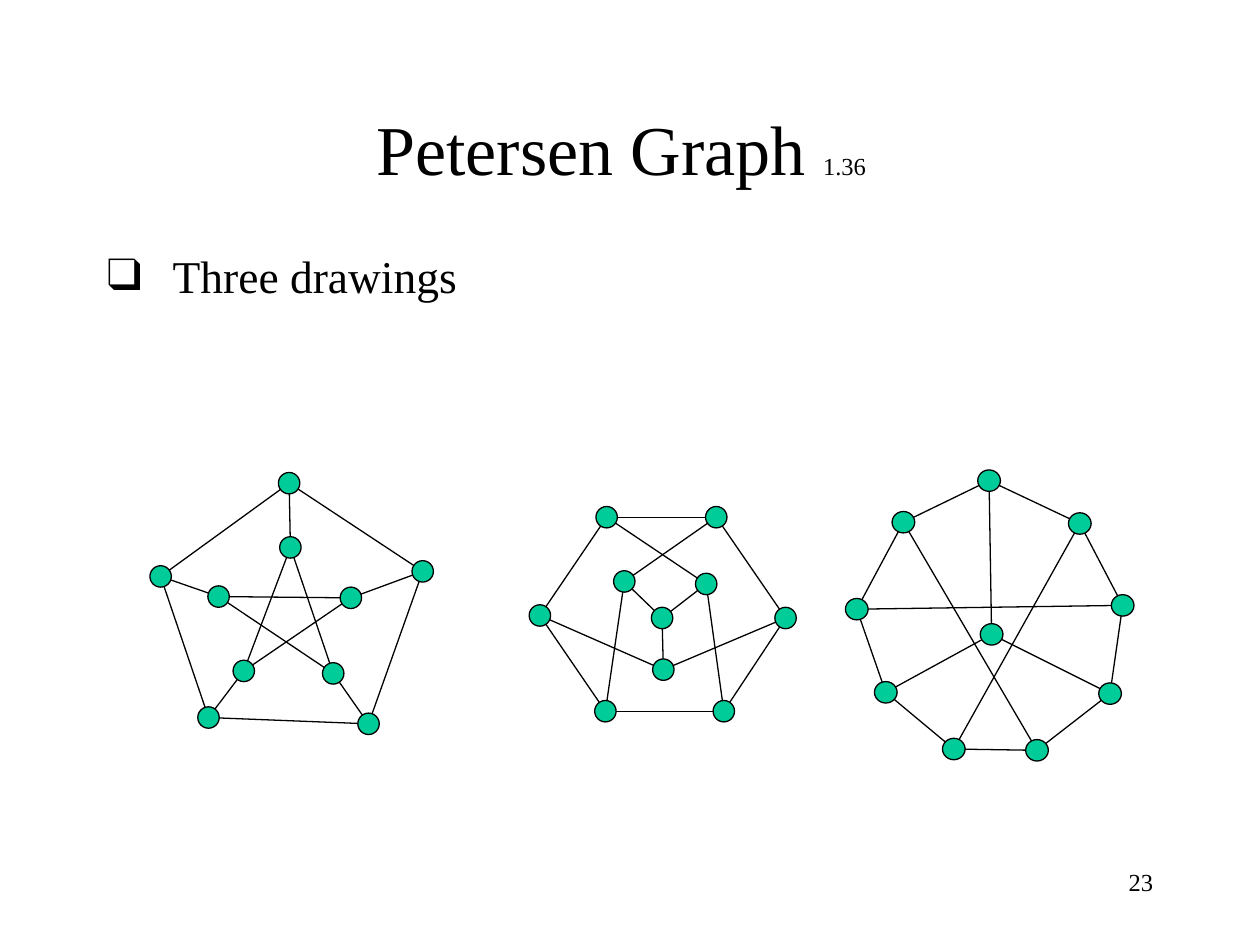
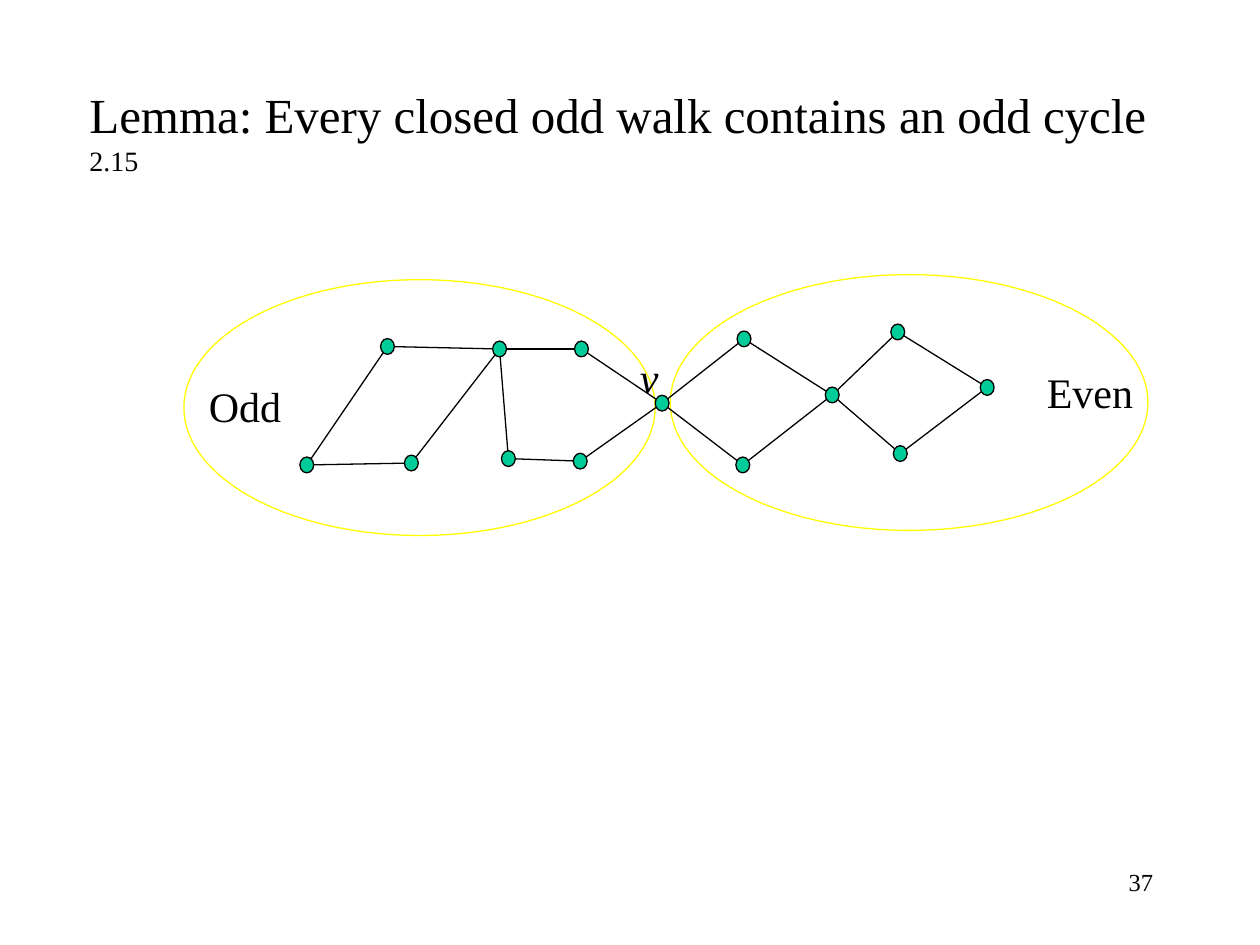
"""Build two graph theory slides: the Petersen graph and the odd walk lemma."""
import dataclasses
import math

import lxml.etree
import pptx
import pptx.dml.color
import pptx.enum.shapes
import pptx.enum.text
import pptx.oxml.ns
import pptx.util

COLUMNS, ROWS = 100, 75
ALIGN = pptx.enum.text.PP_ALIGN
ANCHOR = pptx.enum.text.MSO_ANCHOR


@dataclasses.dataclass(frozen=True)
class Theme:
    """Colours, font and type sizes shared by the slides."""
    font: str = "Times New Roman"
    ink: str = "000000"
    vertex: str = "00CC99"
    region: str = "FFFF00"
    line_width: float = 0.75
    title_size: int = 40
    lemma_size: int = 28
    body_size: int = 26
    label_size: int = 24
    lemma_reference_size: int = 16
    small_size: int = 14
    bullet: str = "❑"
    bullet_indent: float = 5.2


class Deck:
    """Holds the presentation, its theme and the current slide."""

    def __init__(self, theme):
        """Start an empty presentation and its grid."""
        self.theme = theme
        self.presentation = pptx.Presentation()
        self.presentation.slide_width = pptx.util.Inches(10)
        self.presentation.slide_height = pptx.util.Inches(7.5)
        self.slide = None

    def across(self, columns):
        """Turn columns into a length."""
        return pptx.util.Emu(round(self.presentation.slide_width * columns / COLUMNS))

    def down(self, rows):
        """Turn rows into a length."""
        return pptx.util.Emu(round(self.presentation.slide_height * rows / ROWS))

    def box(self, left, top, width, height):
        """Turn a grid box into lengths."""
        return self.across(left), self.down(top), self.across(width), self.down(height)

    def colour(self, value):
        """Turn a hexadecimal value into a colour."""
        return pptx.dml.color.RGBColor.from_string(value)

    def add_slide(self, layout_index, number):
        """Add a slide with its page number and make it current."""
        layout = self.presentation.slide_layouts[layout_index]
        self.slide = self.presentation.slides.add_slide(layout)
        self.text((71.7, 68.3, 20.8, 5), number, self.theme.small_size, align=ALIGN.RIGHT)

    def prepare(self, shape, align, anchor):
        """Set a text frame up and return its first paragraph."""
        frame = shape.text_frame
        frame.word_wrap = True
        frame.auto_size = pptx.enum.text.MSO_AUTO_SIZE.NONE
        frame.vertical_anchor = anchor
        paragraph = frame.paragraphs[0]
        paragraph.alignment = align
        paragraph.space_before = pptx.util.Pt(0)
        return paragraph

    def run(self, paragraph, text, size, italic=False):
        """Add one formatted run."""
        run = paragraph.add_run()
        run.text = text
        run.font.name = self.theme.font
        run.font.size = pptx.util.Pt(size)
        run.font.italic = italic
        run.font.color.rgb = self.colour(self.theme.ink)

    def place(self, shape, box):
        """Move a placeholder to a grid box."""
        shape.left, shape.top, shape.width, shape.height = self.box(*box)

    def title(self, box, runs, align, break_after_first=False):
        """Fill the title placeholder."""
        shape = self.slide.shapes.title
        self.place(shape, box)
        paragraph = self.prepare(shape, align, ANCHOR.MIDDLE)
        for index, (text, size) in enumerate(runs):
            if index == 1 and break_after_first:
                paragraph.add_line_break()
            self.run(paragraph, text, size)

    def bullet(self, box, text):
        """Fill the body placeholder with one bulleted line."""
        shape = self.slide.placeholders[1]
        self.place(shape, box)
        paragraph = self.prepare(shape, ALIGN.LEFT, ANCHOR.TOP)
        qualified = pptx.oxml.ns.qn
        properties = paragraph._p.get_or_add_pPr()
        indent = self.across(self.theme.bullet_indent)
        properties.set("marL", str(indent))
        properties.set("indent", str(-indent))
        bullet_colour = lxml.etree.SubElement(properties, qualified("a:buClr"))
        lxml.etree.SubElement(bullet_colour, qualified("a:srgbClr"), val=self.theme.ink)
        lxml.etree.SubElement(properties, qualified("a:buFont"), typeface=self.theme.font)
        lxml.etree.SubElement(properties, qualified("a:buChar"), char=self.theme.bullet)
        self.run(paragraph, text, self.theme.body_size)

    def text(self, box, text, size, align=ALIGN.LEFT, italic=False):
        """Add a text box with one run."""
        shape = self.slide.shapes.add_textbox(*self.box(*box))
        self.run(self.prepare(shape, align, ANCHOR.TOP), text, size, italic)

    def ellipse(self, shapes, box, line, fill=None):
        """Add an ellipse, hollow unless a fill is given."""
        shape = shapes.add_shape(pptx.enum.shapes.MSO_SHAPE.OVAL, *self.box(*box))
        shape.shadow.inherit = False
        if fill:
            shape.fill.solid()
            shape.fill.fore_color.rgb = self.colour(fill)
        else:
            shape.fill.background()
        self.stroke(shape, line)

    def stroke(self, shape, colour):
        """Set the outline of a shape or connector."""
        shape.line.color.rgb = self.colour(colour)
        shape.line.width = pptx.util.Pt(self.theme.line_width)

    def edge(self, shapes, start, end, size):
        """Join two vertices from rim to rim."""
        step_x, step_y = end[0] - start[0], end[1] - start[1]
        trim = 0.5 / math.hypot(step_x / size[0], step_y / size[1])
        connector = shapes.add_connector(
            pptx.enum.shapes.MSO_CONNECTOR.STRAIGHT,
            self.across(start[0] + trim * step_x), self.down(start[1] + trim * step_y),
            self.across(end[0] - trim * step_x), self.down(end[1] - trim * step_y))
        self.stroke(connector, self.theme.ink)
        lxml.etree.SubElement(connector._element.spPr, pptx.oxml.ns.qn("a:effectLst"))

    def graph(self, vertices, edges, size):
        """Draw a grouped graph from vertex centres and pairs of vertex letters."""
        shapes = self.slide.shapes.add_group_shape().shapes
        for x, y in vertices.values():
            box = (x - size[0] / 2, y - size[1] / 2, *size)
            self.ellipse(shapes, box, self.theme.ink, self.theme.vertex)
        for start, end in edges.split():
            self.edge(shapes, vertices[start], vertices[end], size)


PENTAGON = {
    "A": (22.95, 38.35), "B": (12.75, 45.75), "C": (33.55, 45.35), "D": (29.25, 57.45),
    "E": (16.55, 56.95), "F": (27.85, 47.45), "G": (26.45, 53.45), "H": (19.35, 53.25),
    "I": (17.35, 47.35), "J": (23.05, 43.45),
}
PENTAGON_EDGES = "GJ JH IF FH IG AJ BI EH DG FC AB BE ED CD AC"

HEXAGON = {
    "A": (48.15, 41.05), "B": (56.85, 41.05), "C": (42.85, 48.85), "D": (62.35, 49.05),
    "E": (48.05, 56.45), "F": (57.45, 56.45), "G": (49.55, 46.15), "H": (56.05, 46.35),
    "I": (52.55, 49.05), "J": (52.65, 53.15),
}
HEXAGON_EDGES = "AB AC CE EF FD DB AH BG GI HI IJ JC JD GE HF"

NONAGON = {
    "A": (71.7, 41.45), "B": (85.7, 41.55), "C": (78.5, 38.15), "D": (68, 48.35),
    "E": (89.1, 48.05), "F": (70.3, 54.95), "G": (88.1, 55.05), "H": (78.7, 50.35),
    "I": (75.7, 59.45), "J": (82.3, 59.55),
}
NONAGON_EDGES = "CA AD DF IJ GE EB BC FI GJ CH HF HG DE AJ BI"

WALK = {
    "A": (78.35, 30.75), "B": (71.25, 26.35), "C": (71.45, 36), "D": (66.05, 31.35),
    "E": (59.05, 26.9), "F": (58.95, 36.9), "G": (52.55, 32), "H": (46.05, 36.6),
    "I": (40.35, 36.4), "J": (46.15, 27.7), "K": (39.65, 27.7), "L": (30.75, 27.5),
    "M": (24.35, 36.9), "N": (32.65, 36.75),
}
WALK_EDGES = "LM KN GH KI JG IH KJ MN LK GE FD CA DB GF ED DC BA"


def petersen_slide(deck):
    """Show three drawings of the Petersen graph."""
    theme = deck.theme
    deck.add_slide(1, "23")
    runs = [("Petersen Graph ", theme.title_size), ("1.36", theme.small_size),
            (" ", theme.title_size)]
    deck.title((7.5, 6.7, 85, 10), runs, ALIGN.CENTER)
    deck.bullet((7.5, 19.2, 85, 9.2), "Three drawings")
    deck.graph(PENTAGON, PENTAGON_EDGES, (1.7, 1.7))
    deck.graph(HEXAGON, HEXAGON_EDGES, (1.7, 1.7))
    deck.graph(NONAGON, NONAGON_EDGES, (1.8, 1.7))


def lemma_slide(deck):
    """Split a closed odd walk at v into an odd and an even part."""
    theme = deck.theme
    deck.add_slide(5, "37")
    runs = [("Lemma: Every closed odd walk contains an odd cycle", theme.lemma_size),
            ("2.15", theme.lemma_reference_size)]
    deck.title((6.1, 5.7, 86.4, 9.4), runs, ALIGN.LEFT, break_after_first=True)
    for region in ((53.2, 21.8, 37.9, 20.3), (14.6, 22.2, 37.4, 20.3)):
        deck.ellipse(deck.slide.shapes, region, theme.region)
    deck.graph(WALK, WALK_EDGES, (1.1, 1.25))
    deck.text((82.1, 28.6, 12.1, 5), "Even", theme.label_size)
    deck.text((49.8, 27.4, 4.7, 5), "v", theme.label_size, italic=True)
    deck.text((15.6, 29.7, 9.4, 5), "Odd", theme.label_size)


def main():
    """Build and save the presentation."""
    deck = Deck(Theme())
    petersen_slide(deck)
    lemma_slide(deck)
    deck.presentation.save("out.pptx")


if __name__ == "__main__":
    main()
